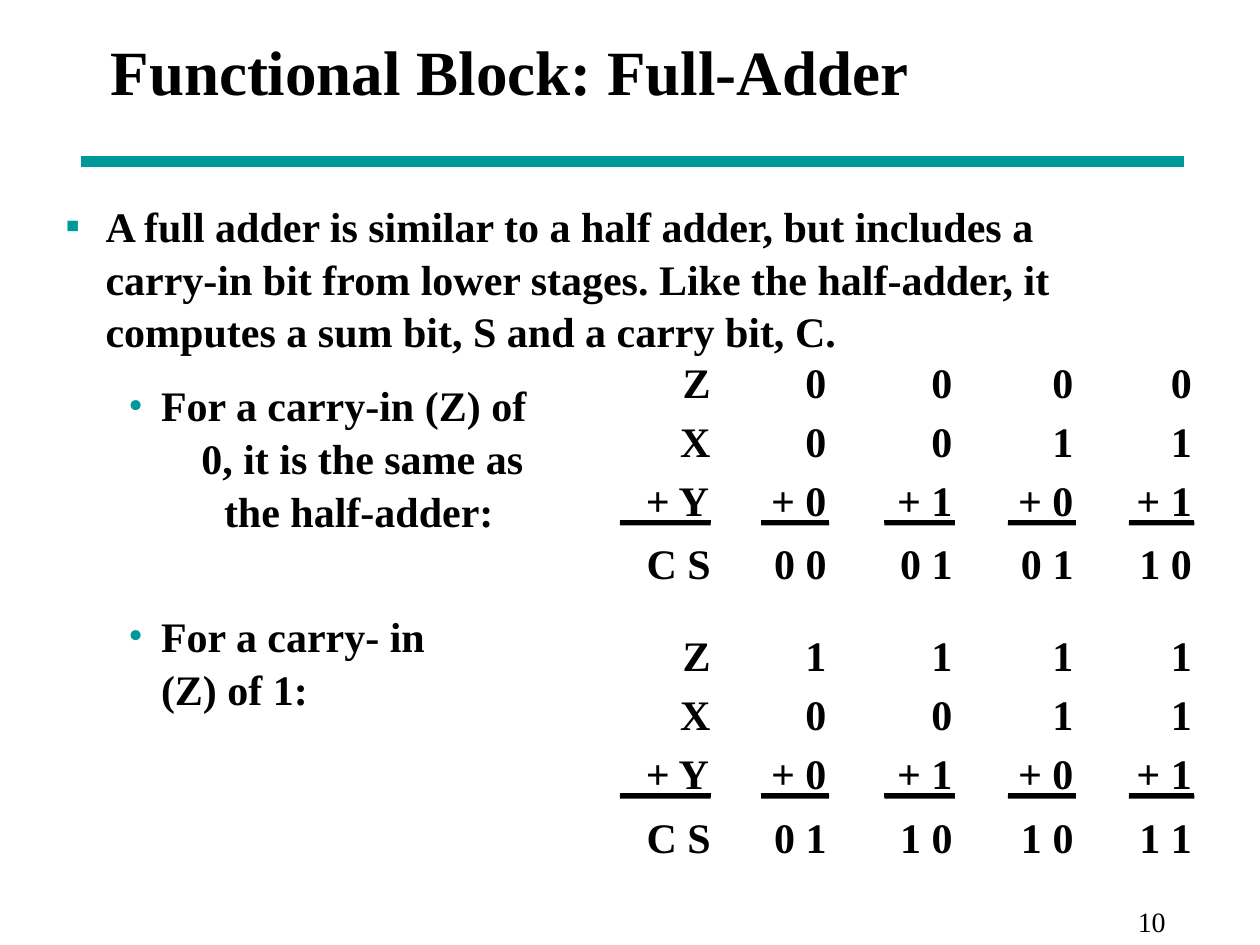
from dataclasses import dataclass
from typing import Any

from lxml.etree import SubElement
from pptx import Presentation
from pptx.dml.color import RGBColor
from pptx.enum.shapes import MSO_CONNECTOR as Connector, MSO_SHAPE as Shape
from pptx.enum.text import MSO_ANCHOR as Anchor, PP_ALIGN as Align
from pptx.oxml.ns import qn
from pptx.util import Inches, Pt

BLACK = RGBColor(0x00, 0x00, 0x00)
TEAL = RGBColor(0x00, 0x99, 0x99)

# Widths of the bold 24 pt characters, in grid units
GLYPHS = {" ": 0.83, "+": 1.9, "0": 1.67, "1": 1.67, "C": 2.41,
          "S": 1.85, "X": 2.41, "Y": 2.41, "Z": 2.22}

# Left and right end of the rule in each column, and where its text ends
COLUMNS = [(49.2, 56.4, 56.4), (60.4, 65.8, 65.6), (70.2, 75.8, 75.6),
           (80, 85.4, 85.2), (89.6, 94.8, 94.6)]
ROW_OFFSETS = (0, 4.67, 9.33, 14.4)
RULE_OFFSET = 13.1

SUMS = [
    (28.3, ["Z 0 0 0 0".split(), "X 0 0 1 1".split(),
            ["+ Y", "+ 0", "+ 1", "+ 0", "+ 1"],
            ["C S", "0 0", "0 1", "0 1", "1 0"]]),
    (50, ["Z 1 1 1 1".split(), "X 0 0 1 1".split(),
          ["+ Y", "+ 0", "+ 1", "+ 0", "+ 1"],
          ["C S", "0 1", "1 0", "1 0", "1 1"]]),
]

BODY = [
    ("A full adder is similar to a half adder, but includes a carry-in bit "
     "from lower stages. Like the half-adder, it computes a sum bit, S and "
     "a carry bit, C.",
     dict(bullet="▪", indent=3.2, hanging=3.2, after=6)),
    ("For a carry-in (Z) of",
     dict(bullet="•", indent=7.6, hanging=2.6, before=6)),
    ("0, it is the same as", dict(indent=10.8)),
    ("the half-adder:", dict(indent=12.6)),
    ("For a carry- in\v(Z) of 1:",
     dict(bullet="•", indent=7.6, hanging=2.6, before=41)),
]


def grid(units):
    """Length of grid units; the slide has 100 columns and 75 rows."""
    return Inches(units / 10)


def write(paragraph, text, size=24, bold=True, color=BLACK, align=Align.LEFT,
          font="Times New Roman", bullet=None, indent=0, hanging=0,
          before=0, after=0, spacing=None):
    paragraph.text = text
    paragraph.alignment = align
    paragraph.space_before, paragraph.space_after = Pt(before), Pt(after)
    if spacing:
        paragraph.line_spacing = spacing
    properties = paragraph._p.get_or_add_pPr()
    properties.set("marL", str(grid(indent)))
    properties.set("indent", str(-grid(hanging)))
    if bullet:
        bullet_color = SubElement(properties, qn("a:buClr"))
        SubElement(bullet_color, qn("a:srgbClr")).set("val", str(TEAL))
        SubElement(properties, qn("a:buFont")).set("typeface", font)
        SubElement(properties, qn("a:buChar")).set("char", bullet)
    for run in paragraph.runs:
        run.font.name, run.font.size = font, Pt(size)
        run.font.bold, run.font.color.rgb = bold, color


@dataclass
class SlideBuilder:
    slide: Any
    rule_color: RGBColor = BLACK
    rule_height: float = 0.3

    def text(self, left, top, width, height, paragraphs, shapes=None,
             anchor=Anchor.TOP, tight=False):
        box = (shapes or self.slide.shapes).add_textbox(
            grid(left), grid(top), grid(width), grid(height))
        frame = box.text_frame
        frame.word_wrap, frame.vertical_anchor = not tight, anchor
        if tight:
            frame.margin_left = frame.margin_right = 0
            frame.margin_top = frame.margin_bottom = 0
        for number, (text, style) in enumerate(paragraphs):
            paragraph = frame.add_paragraph() if number else frame.paragraphs[0]
            write(paragraph, text, **style)

    def line(self, left, right, top, color, width, shapes=None):
        connector = (shapes or self.slide.shapes).add_connector(
            Connector.STRAIGHT, grid(left), grid(top), grid(right), grid(top))
        connector.line.color.rgb, connector.line.width = color, Pt(width)
        SubElement(connector._element.spPr, qn("a:effectLst"))

    def rule(self, left, right, top, shapes):
        bar = shapes.add_shape(Shape.RECTANGLE, grid(left), grid(top),
                               grid(right - left), grid(self.rule_height))
        bar.shadow.inherit = False
        bar.fill.solid()
        bar.fill.fore_color.rgb = self.rule_color
        bar.line.fill.background()
        self.line(left, right, top, self.rule_color, 0, shapes)

    def sums(self, top, rows):
        shapes = self.slide.shapes.add_group_shape().shapes
        for offset, row in zip(ROW_OFFSETS, rows):
            for term, (_, _, end) in zip(row, COLUMNS):
                width = sum(GLYPHS[character] for character in term)
                self.text(end - width, top + offset, width, 4,
                          [(term, {})], shapes, tight=True)
        for left, right, _ in COLUMNS:
            self.rule(left, right, top + RULE_OFFSET, shapes)


def main():
    presentation = Presentation()
    presentation.slide_width, presentation.slide_height = grid(100), grid(75)
    builder = SlideBuilder(
        presentation.slides.add_slide(presentation.slide_layouts[6]))

    # Title and the line below it
    builder.line(6.4, 94, 12.8, TEAL, 6)
    builder.text(7.8, 0, 85, 11.2,
                 [("Functional Block: Full-Adder", dict(size=36))],
                 anchor=Anchor.MIDDLE)

    # Explanation
    builder.text(4.2, 15.2, 85, 51.5,
                 [(text, dict(style, spacing=1.05)) for text, style in BODY])

    # Sums for a carry-in of 0 and of 1
    for top, rows in SUMS:
        builder.sums(top, rows)

    # Page number
    builder.text(82.1, 71.3, 11.4, 3.7,
                 [("10", dict(size=16, bold=False, align=Align.RIGHT))])

    presentation.save("out.pptx")


if __name__ == "__main__":
    main()
